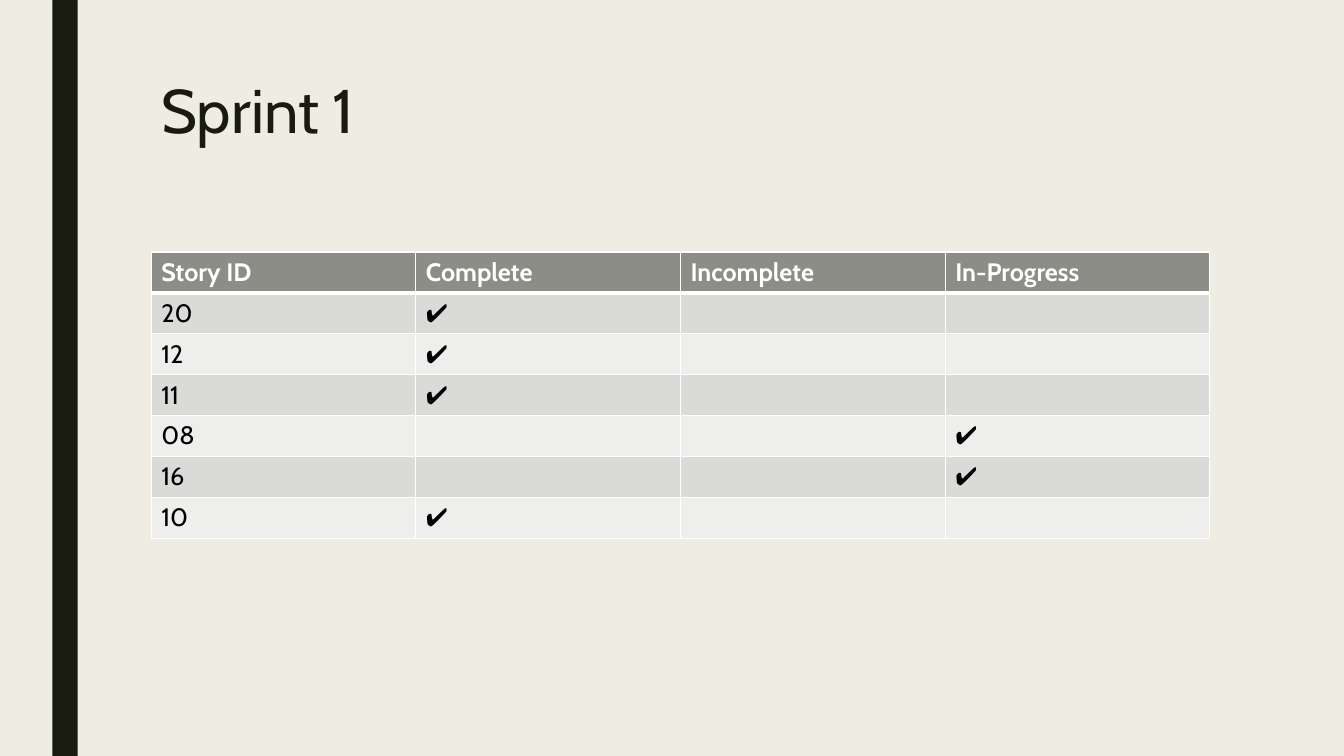
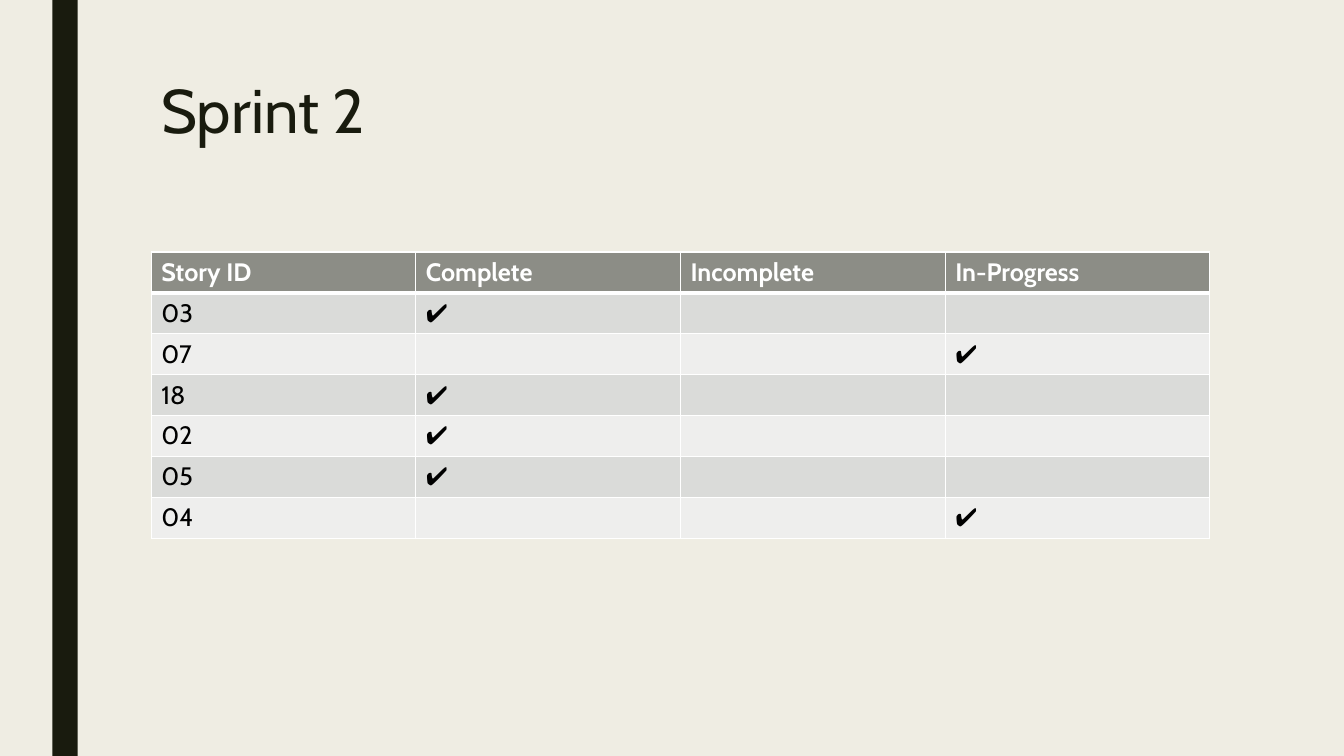
import pptx
import pptx.dml.color
import pptx.enum.shapes
import pptx.enum.text
import pptx.oxml
import pptx.oxml.ns
import pptx.util

RGBColor = pptx.dml.color.RGBColor
Inches = pptx.util.Inches
Pt = pptx.util.Pt

# Shared look
CREAM = RGBColor(0xEF, 0xED, 0xE3)
INK = RGBColor(0x19, 0x1B, 0x0E)
BLACK = RGBColor(0x00, 0x00, 0x00)
WHITE = RGBColor(0xFF, 0xFF, 0xFF)
HEADER_GREY = RGBColor(0x8C, 0x8D, 0x86)
ROW_GREYS = (RGBColor(0xDA, 0xDB, 0xD9), RGBColor(0xEE, 0xEE, 0xED))
FONT = "Cabin"
TITLE_FONT = {"name": FONT, "size": Pt(44), "bold": False}
HEADER_FONT = {"name": FONT, "size": Pt(18), "bold": True}
BODY_FONT = {"name": FONT, "size": Pt(18), "bold": False}
THIN, THICK = Pt(1), Pt(3)

# Boxes: left, top, width, height
SLIDE_WIDTH, SLIDE_HEIGHT = Inches(13.33), Inches(7.5)
BAND_BOX = (Inches(0.52), 0, Inches(0.25), SLIDE_HEIGHT)
TITLE_BOX = (Inches(1.5), Inches(0.75), Inches(10.5), Inches(1.62))
TABLE_BOX = (Inches(1.5), Inches(2.5), Inches(10.5), Inches(2.84))

# Content: each story has one status
STATUSES = ("Complete", "Incomplete", "In-Progress")
HEADINGS = ("Story ID",) + STATUSES
CHECK = "✔"
SPRINTS = {
    "Sprint 1": {
        "20": "Complete", "12": "Complete", "11": "Complete",
        "08": "In-Progress", "16": "In-Progress", "10": "Complete",
    },
    "Sprint 2": {
        "03": "Complete", "07": "In-Progress", "18": "Complete",
        "02": "Complete", "05": "Complete", "04": "In-Progress",
    },
}


def add_text(paragraph, text, formats, color):
    run = paragraph.add_run()
    run.text = text
    for attribute, value in formats.items():
        setattr(run.font, attribute, value)
    run.font.color.rgb = color


def set_borders(cell, widths):
    """Draw white cell edges; they must precede the fill in the XML."""
    properties = cell._tc.get_or_add_tcPr()
    for position, (edge, width) in enumerate(widths.items()):
        properties.insert(position, pptx.oxml.parse_xml(
            f'<a:{edge} {pptx.oxml.ns.nsdecls("a")} w="{width}">'
            f'<a:solidFill><a:srgbClr val="{WHITE}"/></a:solidFill></a:{edge}>'))


def add_band(slide, box):
    band = slide.shapes.add_shape(
        pptx.enum.shapes.MSO_SHAPE.RECTANGLE, *box)
    band.shadow.inherit = False
    band.fill.solid()
    band.fill.fore_color.rgb = INK
    band.line.fill.background()


def place_title(slide, text, box):
    title = slide.shapes.title
    title.left, title.top, title.width, title.height = box
    frame = title.text_frame
    frame.word_wrap = True
    frame.auto_size = pptx.enum.text.MSO_AUTO_SIZE.NONE
    frame.vertical_anchor = pptx.enum.text.MSO_ANCHOR.TOP
    heading = frame.paragraphs[0]
    heading.alignment = pptx.enum.text.PP_ALIGN.LEFT
    heading.line_spacing = 0.89
    add_text(heading, text, TITLE_FONT, INK)


def add_story_table(slide, stories, box):
    rows = [HEADINGS] + [
        (story,) + tuple(CHECK if status == name else "" for name in STATUSES)
        for story, status in stories.items()]
    story_table = slide.shapes.add_table(len(rows), len(HEADINGS), *box).table
    for column in story_table.columns:
        column.width = box[2] // len(HEADINGS)

    for row_index, texts in enumerate(rows):
        story_table.rows[row_index].height = box[3] // len(rows)
        is_header = row_index == 0
        fill = HEADER_GREY if is_header else ROW_GREYS[(row_index - 1) % 2]
        formats = HEADER_FONT if is_header else BODY_FONT
        color = WHITE if is_header else BLACK
        borders = {"lnL": THIN, "lnR": THIN,
                   "lnT": THICK if row_index == 1 else THIN,
                   "lnB": THICK if is_header else THIN}
        for column_index, text in enumerate(texts):
            cell = story_table.cell(row_index, column_index)
            cell.fill.solid()
            cell.fill.fore_color.rgb = fill
            set_borders(cell, borders)
            if text:
                add_text(cell.text_frame.paragraphs[0], text, formats, color)


def add_sprint_slide(deck, name, stories):
    slide = deck.slides.add_slide(deck.slide_layouts.get_by_name("Title Only"))
    add_band(slide, BAND_BOX)
    place_title(slide, name, TITLE_BOX)
    add_story_table(slide, stories, TABLE_BOX)


def main():
    deck = pptx.Presentation()
    deck.slide_width, deck.slide_height = SLIDE_WIDTH, SLIDE_HEIGHT
    background = deck.slide_master.background.fill
    background.solid()
    background.fore_color.rgb = CREAM
    for name, stories in SPRINTS.items():
        add_sprint_slide(deck, name, stories)
    deck.save("out.pptx")


if __name__ == "__main__":
    main()
